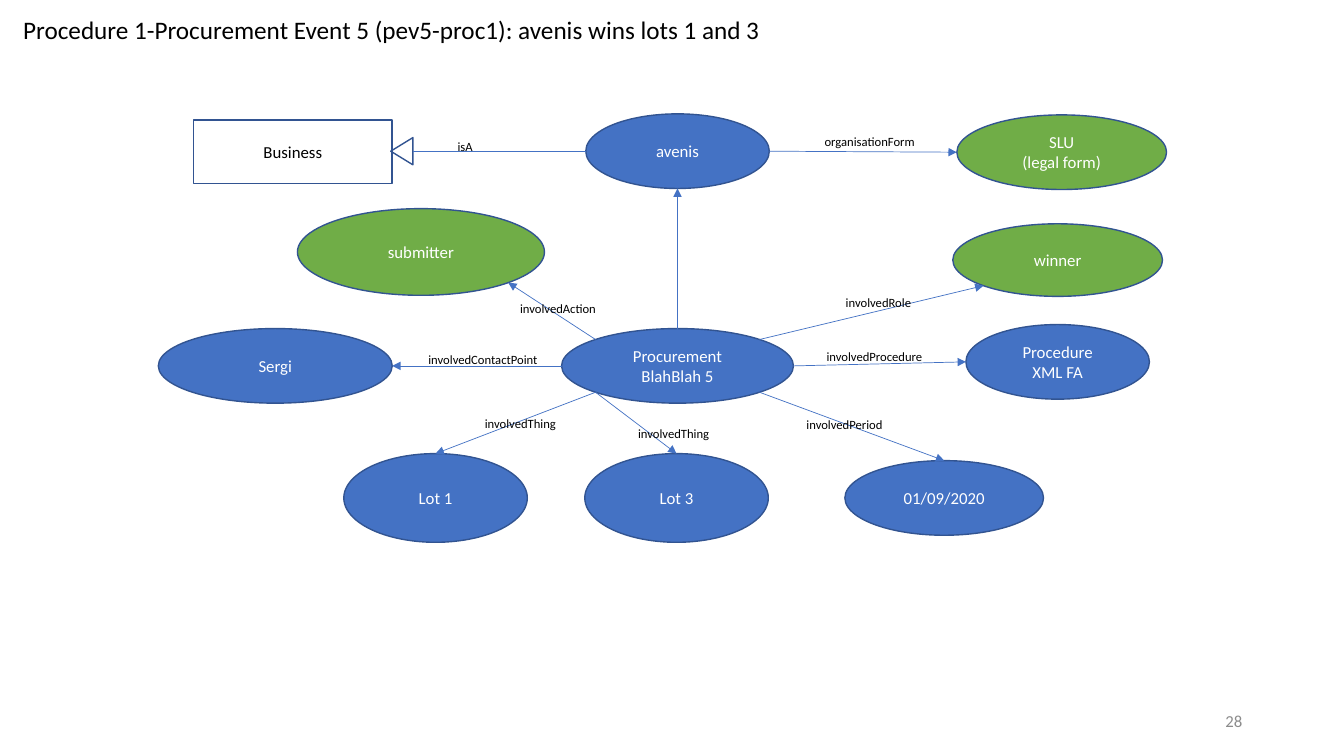
from math import cos, pi, sin

from lxml import etree
from pptx import Presentation
from pptx.dml.color import RGBColor
from pptx.enum.shapes import MSO_CONNECTOR, MSO_SHAPE
from pptx.enum.text import MSO_ANCHOR, MSO_AUTO_SIZE, PP_ALIGN
from pptx.oxml.ns import qn
from pptx.util import Pt

PX = 9144  # EMU per px, 100 px to the inch
FONT = "Calibri"
BLUE = RGBColor(0x44, 0x72, 0xC4)
NAVY = RGBColor(0x32, 0x54, 0x91)
GREEN = RGBColor(0x70, 0xAD, 0x47)
GRAY = RGBColor(0x8C, 0x8C, 0x8C)
WHITE = RGBColor(0xFF, 0xFF, 0xFF)
BLACK = RGBColor(0, 0, 0)

OVAL, RECT = MSO_SHAPE.OVAL, MSO_SHAPE.RECTANGLE
TRIANGLE = MSO_SHAPE.ISOSCELES_TRIANGLE
STRAIGHT = MSO_CONNECTOR.STRAIGHT
MIDDLE, TOP = MSO_ANCHOR.MIDDLE, MSO_ANCHOR.TOP
LEFT, CENTER, RIGHT = PP_ALIGN.LEFT, PP_ALIGN.CENTER, PP_ALIGN.RIGHT
NO_FIT = MSO_AUTO_SIZE.NONE

# Connection sites of an oval, counted anticlockwise from the top
(N, NW, W, SW, S, SE, E, NE) = range(8)

# Name: text, box in px, fill
NODES = {
    "firm": ("avenis", (581, 113, 182, 74), BLUE),
    "form": ("SLU\n(legal form)", (949, 114, 208, 74), GREEN),
    "submit": ("submitter", (295, 207, 245, 86), GREEN),
    "winner": ("winner", (945, 222, 208, 72), GREEN),
    "person": ("Sergi", (157, 326, 232, 74), BLUE),
    "event": ("Procurement BlahBlah 5", (557, 326, 230, 74), BLUE),
    "proc": ("Procedure\nXML FA", (958, 322, 182, 74), BLUE),
    "lot1": ("Lot 1", (341, 450, 182, 88), BLUE),
    "lot3": ("Lot 3", (580, 450, 182, 88), BLUE),
    "date": ("01/09/2020", (838, 457, 197, 74), BLUE),
}

# From node and site, to node and site
LINKS = [
    ("firm", E, "form", W),
    ("event", N, "firm", S),
    ("event", NW, "submit", SE),
    ("event", NE, "winner", SW),
    ("event", W, "person", E),
    ("event", E, "proc", W),
    ("event", SW, "lot1", N),
    ("event", SW, "lot3", N),
    ("event", SE, "date", N),
]

# Text, left, top, width
LABELS = [
    ("isA", 444, 133, 35),
    ("organisationForm", 808, 128, 111),
    ("involvedAction", 506, 294, 97),
    ("involvedRole", 829, 288, 87),
    ("involvedContactPoint", 415, 344, 131),
    ("involvedProcedure", 810, 341, 117),
    ("involvedThing", 471, 408, 92),
    ("involvedThing", 623, 418, 92),
    ("involvedPeriod", 790, 409, 98),
]


def scale(*sizes):
    return [round(size * PX) for size in sizes]


def write(shape, text, size, color, align, anchor, wrap):
    frame = shape.text_frame
    frame.text = text
    frame.word_wrap = wrap
    frame.auto_size = NO_FIT
    frame.vertical_anchor = anchor
    for para in frame.paragraphs:
        para.alignment = align
        para.font.name = FONT
        para.font.size = Pt(size)
        para.font.color.rgb = color


def add_box(slide, kind, box, fill=None):
    shape = slide.shapes.add_shape(kind, *scale(*box))
    shape.shadow.inherit = False
    if fill is None:
        shape.fill.background()
    else:
        shape.fill.solid()
        shape.fill.fore_color.rgb = fill
    shape.line.color.rgb = NAVY
    shape.line.width = Pt(1)
    return shape


def add_node(slide, text, box, fill):
    shape = add_box(slide, OVAL, box, fill)
    write(shape, text, 12, WHITE, CENTER, MIDDLE, True)
    return shape


def add_text(slide, text, box, size, color, align, anchor, wrap):
    shape = slide.shapes.add_textbox(*scale(*box))
    write(shape, text, size, color, align, anchor, wrap)


def add_line(slide, start, end):
    line = slide.shapes.add_connector(STRAIGHT, *scale(*start, *end))
    line.line.color.rgb = BLUE
    line.line.width = Pt(0.5)
    etree.SubElement(line._element.spPr, qn("a:effectLst"))
    return line


def find_site(name, site):
    left, top, width, height = NODES[name][1]
    turn = site * pi / 4
    return (left + width / 2 * (1 - sin(turn)),
            top + height / 2 * (1 - cos(turn)))


def add_link(slide, ovals, tail, out, head, into):
    line = add_line(slide, find_site(tail, out), find_site(head, into))
    etree.SubElement(line.line._get_or_add_ln(), qn("a:tailEnd"),
                     type="triangle")
    # Glue both ends to the ovals
    glue = line._element.find(".//" + qn("p:cNvCxnSpPr"))
    for tag, name, site in (("a:stCxn", tail, out), ("a:endCxn", head, into)):
        etree.SubElement(glue, qn(tag), id=str(ovals[name].shape_id),
                         idx=str(site))


def main():
    deck = Presentation()
    deck.slide_width, deck.slide_height = scale(1333, 750)
    slide = deck.slides.add_slide(deck.slide_layouts[5])

    # Title
    title = slide.shapes.title
    title.left, title.top, title.width, title.height = scale(13, 9, 756, 40)
    write(title, "Procedure 1-Procurement Event 5 (pev5-proc1): "
          "avenis wins lots 1 and 3", 18, BLACK, LEFT, TOP, False)

    # Ovals and their arrows
    ovals = {name: add_node(slide, *node) for name, node in NODES.items()}
    for link in LINKS:
        add_link(slide, ovals, *link)

    # Parent class with its hollow arrowhead
    parent = add_box(slide, RECT, (192, 119, 197, 63))
    write(parent, "Business", 12, BLACK, CENTER, MIDDLE, True)
    tip = add_box(slide, TRIANGLE, (385, 139, 27, 22))
    tip.rotation = 270
    add_line(slide, find_site("firm", W), (410, 150))

    # Arrow labels
    for text, left, top, width in LABELS:
        add_text(slide, text, (left, top, width, 25), 9, BLACK, LEFT, TOP,
                 False)

    # Page number
    add_text(slide, "28", (942, 695, 300, 40), 12, GRAY, RIGHT, MIDDLE, True)
    deck.save("out.pptx")


if __name__ == "__main__":
    main()
